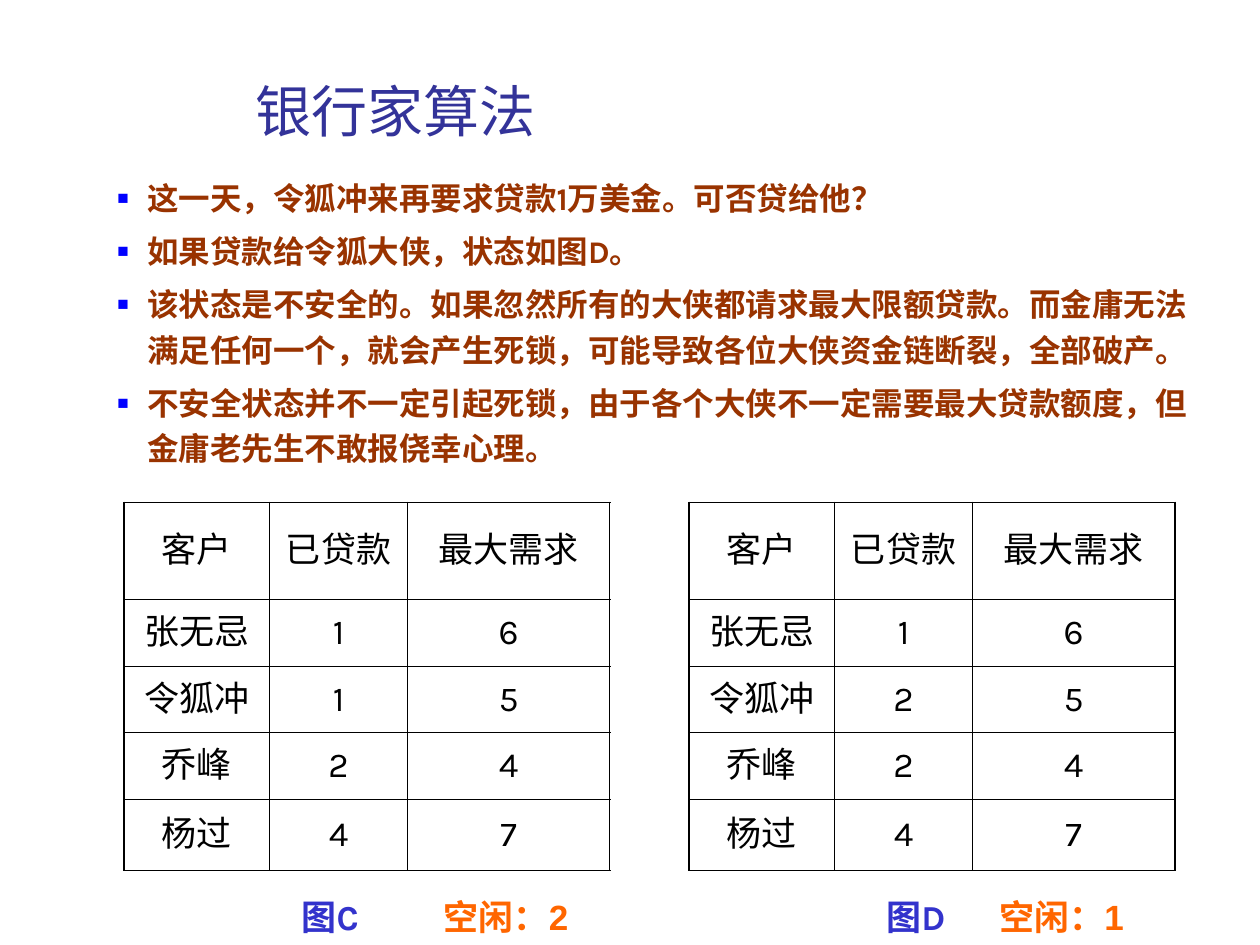
from dataclasses import dataclass

from lxml.etree import SubElement
from pptx import Presentation
from pptx.dml.color import RGBColor
from pptx.enum.text import MSO_ANCHOR, MSO_AUTO_SIZE, PP_ALIGN
from pptx.oxml.ns import qn
from pptx.util import Cm, Pt


@dataclass(frozen=True)
class Theme:
    title_color: str = "333399"
    body_color: str = "993300"
    bullet_color: str = "0000FF"
    table_color: str = "000000"
    figure_color: str = "3333CC"
    free_color: str = "FF6600"
    title_font: str = "Noto Sans CJK SC"
    body_font: str = "Karla"
    free_font: str = "Arial"
    title_size: float = 32
    body_size: float = 18
    table_size: float = 20
    outer_line: float = 1.08
    inner_line: float = 0.45


@dataclass(frozen=True)
class Box:
    left: float
    top: float
    width: float
    height: float

    def place(self, shape):
        shape.left, shape.top = Cm(self.left), Cm(self.top)
        shape.width, shape.height = Cm(self.width), Cm(self.height)


THEME = Theme()
COLUMN_WIDTHS = (2.93, 2.79, 4.07)
ROW_HEIGHTS = (1.96, 1.34, 1.34, 1.34, 1.44)
HEADINGS = ("客户", "已贷款", "最大需求")
CUSTOMERS = ("张无忌", "令狐冲", "乔峰", "杨过")
LIMITS = (6, 5, 4, 7)
POINTS = (
    "这一天，令狐冲来再要求贷款1万美金。可否贷给他？",
    "如果贷款给令狐大侠，状态如图D。",
    "该状态是不安全的。如果忽然所有的大侠都请求最大限额贷款。而金庸无法满足任何一个，就会产生死锁，可能导致各位大侠资金链断裂，全部破产。",
    "不安全状态并不一定引起死锁，由于各个大侠不一定需要最大贷款额度，但金庸老先生不敢报侥幸心理。",
)


def format_para(para, font, size, color, bold=False, align=PP_ALIGN.LEFT):
    para.alignment = align
    for span in para.runs:
        span.font.name = font
        span.font.size = Pt(size)
        span.font.bold = bold
        span.font.color.rgb = RGBColor.from_string(color)
        properties = span.font._element
        SubElement(properties, qn("a:ea")).set("typeface", font)


def add_bullet(para):
    properties = para._p.get_or_add_pPr()
    properties.set("marL", str(Cm(0.6)))
    properties.set("indent", str(-Cm(0.6)))
    color = SubElement(properties, qn("a:buClr"))
    SubElement(color, qn("a:srgbClr")).set("val", THEME.bullet_color)
    SubElement(properties, qn("a:buSzPct")).set("val", "60000")
    SubElement(properties, qn("a:buFont")).set("typeface", "Arial")
    SubElement(properties, qn("a:buChar")).set("char", "■")


def add_title(page, box):
    title = page.shapes.title
    box.place(title)
    frame = title.text_frame
    frame.text = "银行家算法"
    frame.vertical_anchor = MSO_ANCHOR.BOTTOM
    frame.auto_size = MSO_AUTO_SIZE.NONE
    format_para(frame.paragraphs[0], THEME.title_font, THEME.title_size, THEME.title_color)


def add_points(page, box):
    body = page.placeholders[1]
    box.place(body)
    frame = body.text_frame
    frame.text = "\n".join(POINTS)
    frame.auto_size = MSO_AUTO_SIZE.NONE
    for index, para in enumerate(frame.paragraphs):
        add_bullet(para)
        para.line_spacing = 1.2
        para.space_before = Pt(4.5 if index else 0)
        format_para(para, THEME.body_font, THEME.body_size, THEME.body_color, bold=True)


def set_borders(cell, outer_sides):
    properties = cell._tc.get_or_add_tcPr()
    for side, is_outer in zip("LRTB", outer_sides):
        line = SubElement(properties, qn(f"a:ln{side}"))
        line.set("w", str(Pt(THEME.outer_line if is_outer else THEME.inner_line)))
        fill = SubElement(line, qn("a:solidFill"))
        SubElement(fill, qn("a:srgbClr")).set("val", THEME.table_color)


def add_loan_table(page, box, loans):
    rows = [HEADINGS, *zip(CUSTOMERS, loans, LIMITS)]
    last_row, last_column = len(rows) - 1, len(HEADINGS) - 1
    table = page.shapes.add_table(
        len(rows), len(HEADINGS),
        Cm(box.left), Cm(box.top), Cm(box.width), Cm(box.height),
    ).table
    table.first_row = table.horz_banding = False
    for column, width in zip(table.columns, COLUMN_WIDTHS):
        column.width = Cm(width)
    for row, height in zip(table.rows, ROW_HEIGHTS):
        row.height = Cm(height)
    for i, values in enumerate(rows):
        for j, value in enumerate(values):
            cell = table.cell(i, j)
            cell.text_frame.text = str(value)
            cell.vertical_anchor = MSO_ANCHOR.MIDDLE
            set_borders(cell, (j == 0, j == last_column, i == 0, i == last_row))
            cell.fill.background()
            format_para(cell.text_frame.paragraphs[0], THEME.body_font,
                        THEME.table_size, THEME.table_color, align=PP_ALIGN.CENTER)


def add_caption(page, box, text, font, color, align, wrap):
    caption = page.shapes.add_textbox(
        Cm(box.left), Cm(box.top), Cm(box.width), Cm(box.height))
    frame = caption.text_frame
    frame.text = text
    frame.word_wrap = wrap
    frame.auto_size = MSO_AUTO_SIZE.SHAPE_TO_FIT_TEXT
    format_para(frame.paragraphs[0], font, THEME.table_size, color, bold=True, align=align)


def add_state(page, box, name, loans, free, name_offset, free_offset):
    add_loan_table(page, box, loans)
    caption_top = box.top + box.height + 0.38
    add_caption(page, Box(box.left + name_offset, caption_top, 1.87, 1.12),
                f"图{name}", THEME.body_font, THEME.figure_color, PP_ALIGN.LEFT, False)
    add_caption(page, Box(box.left + free_offset, caption_top, 4.6, 1.12),
                f"空闲：{free}", THEME.free_font, THEME.free_color, PP_ALIGN.CENTER, True)


def main():
    deck = Presentation()
    deck.slide_width, deck.slide_height = Cm(25.4), Cm(19.05)
    page = deck.slides.add_slide(deck.slide_layouts[1])
    add_title(page, Box(4.9, 1.32, 16.2, 1.7))
    add_points(page, Box(2.11, 3.33, 22.4, 6.4))
    width, height = sum(COLUMN_WIDTHS), sum(ROW_HEIGHTS)
    add_state(page, Box(2.5, 10.13, width, height), "C", (1, 1, 2, 4), 2, 3.33, 5.4)
    add_state(page, Box(13.89, 10.13, width, height), "D", (1, 2, 2, 4), 1, 3.73, 5.21)
    deck.save("out.pptx")


if __name__ == "__main__":
    main()
